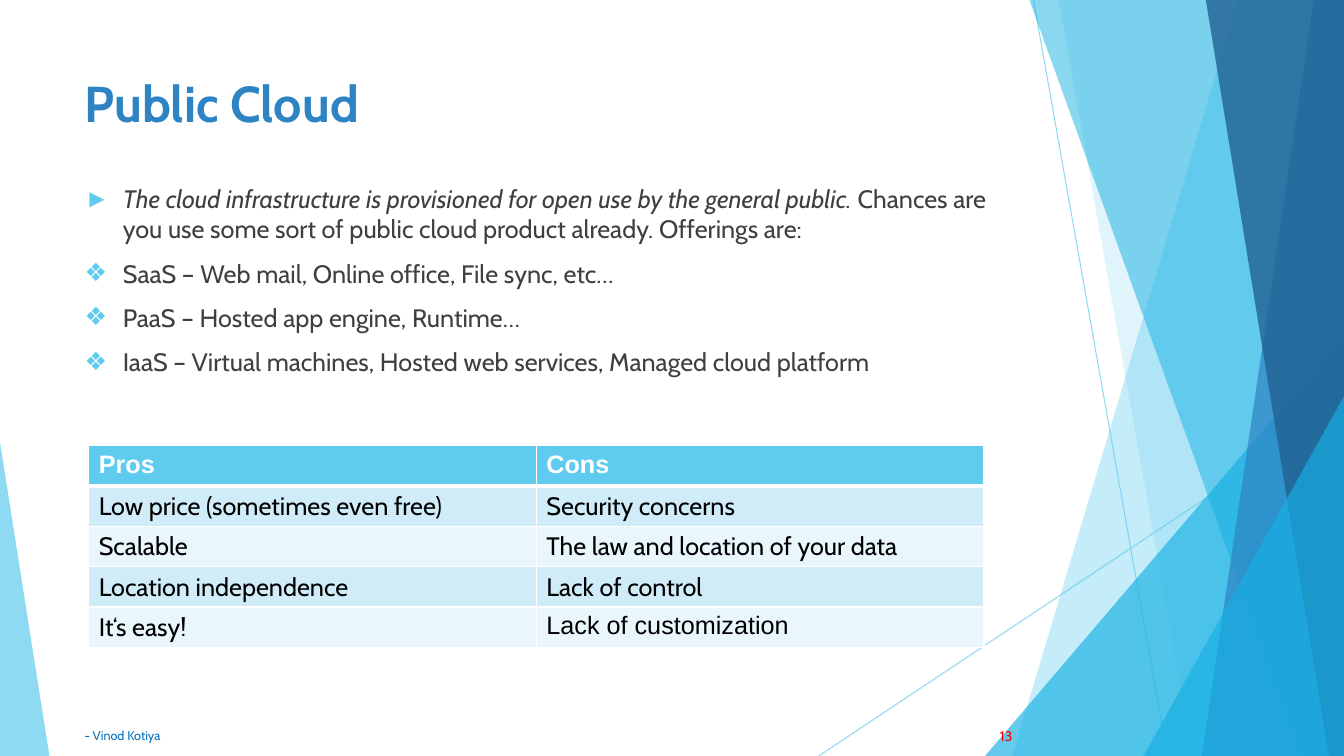
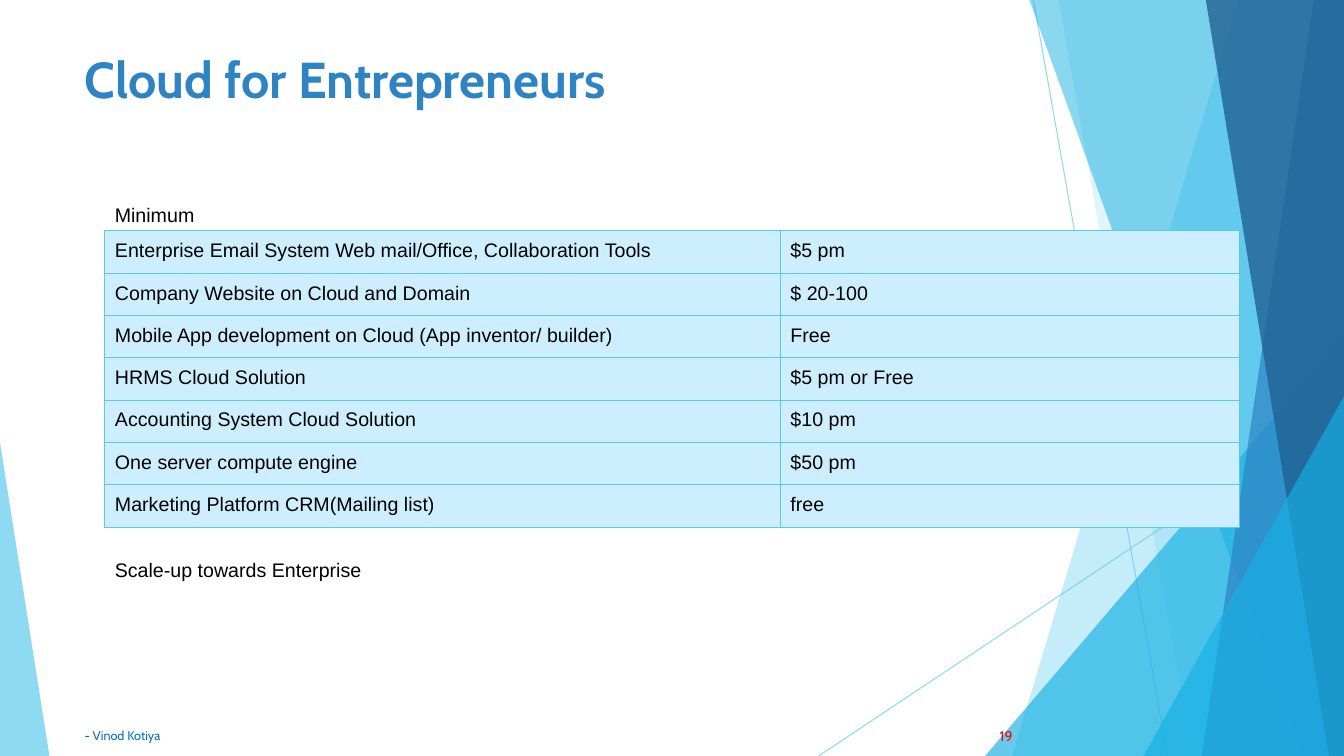
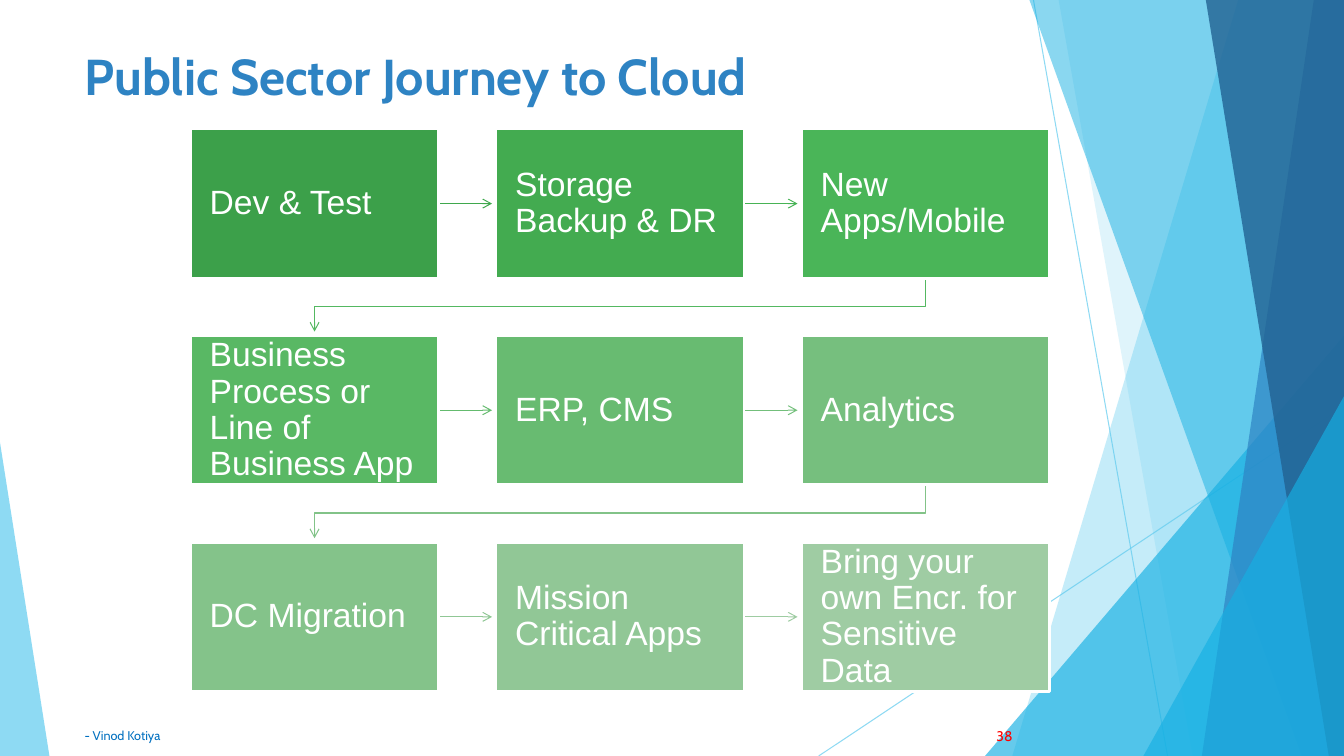
from dataclasses import dataclass
from itertools import product

from lxml.etree import SubElement as Sub
from pptx import Presentation
from pptx.dml.color import RGBColor as Rgb
from pptx.enum.shapes import MSO_CONNECTOR as Link, MSO_SHAPE as Shape
from pptx.enum.text import MSO_ANCHOR as Anchor, PP_ALIGN as Align
from pptx.oxml.ns import qn
from pptx.util import Inches, Pt


@dataclass(frozen=True)
class Theme:
    """Hold the colours, fonts and type sizes of the deck."""
    sky: str = "5FCBEF"
    cyan: str = "16B0E3"
    blue: str = "2E83C3"
    navy: str = "226292"
    white: str = "FFFFFF"
    black: str = "000000"
    grey: str = "3F3F3F"
    foot: str = "0070C0"
    red: str = "FF0000"
    bands: tuple = ("D1ECF9", "E9F6FC")
    pale: str = "CDEEFF"
    edge: str = "59C8ED"
    boxes: tuple = ("3CA04A", "43AB50", "4AB558", "59B864", "68BB71",
                    "76BF7E", "84C38A", "91C796", "9FCCA3")
    links: tuple = ("3FA84D", "47B355", "54B861", "64BB6E", "73BF7B",
                    "82C388", "90C795", "9ECCA2")
    head: str = "Cabin"
    plain: str = "Arial"
    title: int = 36
    step: int = 24
    body: int = 18
    note: int = 14
    page: int = 10
    small: int = 9


T = Theme()


def bullet(para, mark):
    """Give a paragraph a hanging coloured bullet."""
    props = para._p.get_or_add_pPr()
    props.set("marL", str(Inches(0.38)))
    props.set("indent", str(Inches(-0.38)))
    Sub(Sub(props, qn("a:buClr")), qn("a:srgbClr"), val=T.sky)
    Sub(props, qn("a:buFont"), typeface=T.plain)
    Sub(props, qn("a:buChar"), char=mark)


def write(frame, text, size=T.body, font=T.head, color=T.black, bold=False,
          italic=False, align=Align.LEFT, mark=None, before=0, space=None,
          more=False):
    """Write one paragraph, with an optional italic lead given as a pair."""
    para = frame.add_paragraph() if more else frame.paragraphs[0]
    if mark:
        bullet(para, mark)
    para.alignment = align
    if before:
        para.space_before = Pt(before)
    if space:
        para.line_spacing = space
    runs = [(text, italic)] if isinstance(text, str) else zip(text, (True, False))
    for part, slant in runs:
        run = para.add_run()
        run.text = part
        face = run.font
        face.size, face.name, face.bold, face.italic = Pt(size), font, bold, slant
        face.color.rgb = Rgb.from_string(color)


def inset(frame, side, top):
    """Set the margins of a text frame or a cell."""
    frame.margin_left = frame.margin_right = Inches(side)
    frame.margin_top = frame.margin_bottom = Inches(top)


def label(slide, at, text, anchor=Anchor.TOP, **fmt):
    """Add a wrapped text box and return its frame."""
    frame = slide.shapes.add_textbox(*map(Inches, at)).text_frame
    frame.word_wrap = True
    frame.vertical_anchor = anchor
    inset(frame, 0.1, 0.05)
    write(frame, text, **fmt)
    return frame


def fade(shape, alpha):
    """Make the colours of a shape translucent."""
    for color in list(shape._element.iter(qn("a:srgbClr"))):
        Sub(color, qn("a:alpha"), val=str(alpha * 1000))


def paint(shape, color):
    """Fill a shape flat, without line or shadow."""
    shape.shadow.inherit = False
    shape.fill.solid()
    shape.fill.fore_color.rgb = Rgb.from_string(color)
    shape.line.fill.background()


def trace(slide, points, close):
    """Build an outline through points."""
    spots = [tuple(map(Inches, spot)) for spot in points]
    pen = slide.shapes.build_freeform(*spots[0], scale=1.0)
    pen.add_line_segments(spots[1:], close=close)
    return pen.convert_to_shape()


def stroke(shape, color, tip=False):
    """Style a thin line, with an optional arrowhead."""
    shape.line.color.rgb = Rgb.from_string(color)
    shape.line.width = Pt(0.75)
    if tip:
        Sub(shape.line._get_or_add_ln(), qn("a:tailEnd"), type="arrow")


def line(slide, start, end, color, tip=False):
    """Add a straight line."""
    link = slide.shapes.add_connector(
        Link.STRAIGHT, *map(Inches, (*start, *end)))
    stroke(link, color, tip)
    Sub(link._element.spPr, qn("a:effectLst"))
    return link


def shard(slide, top, base, color, alpha, right=13.33):
    """Add a full-height band from its left edge to the slide's right edge."""
    band = trace(slide, [(top, 0), (right, 0), (right, 7.5), (base, 7.5)], True)
    paint(band, color)
    fade(band, alpha)


def wedge(slide, at, peak, color, alpha):
    """Add a translucent right-angled triangle."""
    shape = slide.shapes.add_shape(Shape.ISOSCELES_TRIANGLE, *map(Inches, at))
    shape.adjustments[0] = peak
    paint(shape, color)
    fade(shape, alpha)


def start(deck, title, top, page):
    """Add a slide with backdrop, title and footer."""
    slide = deck.slides.add_slide(deck.slide_layouts[6])
    for head, tail in (((10.25, 0), (11.58, 7.5)), ((13.33, 4.03), (8.12, 7.5))):
        fade(line(slide, head, tail, T.sky), 70)
    shard(slide, 12.28, 10.04, T.sky, 36)
    shard(slide, 10.5, 11.83, T.sky, 20)
    wedge(slide, (9.77, 3.33, 3.56, 4.17), 1, T.cyan, 66)
    shard(slide, 10.21, 12.91, T.cyan, 50)
    shard(slide, 13.03, 11.92, T.blue, 70)
    shard(slide, 11.96, 13.18, T.navy, 80)
    wedge(slide, (11.34, 3.93, 1.99, 3.57), 1, T.cyan, 66)
    wedge(slide, (0, 4.39, 0.49, 3.11), 0, T.sky, 70)
    label(slide, (0.74, top, 9.4, 1.44), title, size=T.title, color=T.blue,
          bold=True)
    label(slide, (0.74, 7.1, 6.89, 0.4), "- Vinod Kotiya", Anchor.MIDDLE,
          size=T.small, color=T.foot)
    label(slide, (9.39, 7.1, 0.75, 0.4), page, Anchor.MIDDLE, size=T.page,
          color=T.red, align=Align.RIGHT)
    return slide


def border(cell, color, widths):
    """Draw the left, right, top and bottom borders of a cell."""
    props = cell._tc.get_or_add_tcPr()
    for side, width in zip("LRTB", widths):
        edge = Sub(props, qn(f"a:ln{side}"), w=str(Pt(width)))
        Sub(Sub(edge, qn("a:solidFill")), qn("a:srgbClr"), val=color)


def grid(slide, spot, cols, tall, rows, style):
    """Add a table whose cells are styled by a function of row and column."""
    size = (sum(cols), tall * len(rows))
    table = slide.shapes.add_table(
        len(rows), len(cols), *map(Inches, (*spot, *size))).table
    for col, wide in zip(table.columns, cols):
        col.width = Inches(wide)
    for row in table.rows:
        row.height = Inches(tall)
    for r, c in product(range(len(rows)), range(len(cols))):
        cell = table.cell(r, c)
        look = style(r, c)
        border(cell, look["edge"], look["widths"])
        cell.fill.solid()
        cell.fill.fore_color.rgb = Rgb.from_string(look["fill"])
        inset(cell, 0.1, look["pad"])
        write(cell.text_frame, rows[r][c], **look["fmt"])


def duel(r, c):
    """Style a cell of the pros and cons table."""
    head = r == 0
    plain = head or (r, c) == (4, 1)
    return dict(
        edge=T.white, pad=0.05, widths=(1, 1, 1, 3 if head else 1),
        fill=T.sky if head else T.bands[(r - 1) % 2],
        fmt=dict(font=T.plain if plain else T.head, bold=head,
                 color=T.white if head else T.black))


def price(r, c):
    """Style a cell of the price table."""
    return dict(edge=T.edge, pad=0.09, widths=(0.75,) * 4, fill=T.pale,
                fmt=dict(size=T.note, font=T.plain))


def public(deck):
    """Build the public cloud slide."""
    slide = start(deck, "Public Cloud", 0.67, "13")
    lead = ("The cloud infrastructure is provisioned for open use by the "
            "general public. ",
            "Chances are you use some sort of public cloud product already. "
            "Offerings are:")
    body = label(slide, (0.74, 1.77, 9.4, 4.84), lead, color=T.grey, mark="►")
    for text in ("SaaS – Web mail, Online office, File sync, etc…",
                 "PaaS – Hosted app engine, Runtime…",
                 "IaaS – Virtual machines, Hosted web services, "
                 "Managed cloud platform"):
        write(body, text, color=T.grey, mark="❖", before=10, more=True)
    rows = (("Pros", "Cons"),
            ("Low price (sometimes even free)", "Security concerns"),
            ("Scalable", "The law and location of your data"),
            ("Location independence", "Lack of control"),
            ("It‘s easy!", "Lack of customization"))
    grid(slide, (0.88, 4.42), (4.44, 4.44), 0.4, rows, duel)


def startup(deck):
    """Build the entrepreneurs slide."""
    slide = start(deck, "Cloud for Entrepreneurs", 0.43, "19")
    rows = (("Enterprise Email System Web mail/Office, Collaboration Tools",
             "$5 pm"),
            ("Company Website on Cloud and Domain", "$ 20-100"),
            ("Mobile App development on Cloud (App inventor/ builder)", "Free"),
            ("HRMS Cloud Solution", "$5 pm or Free"),
            ("Accounting System Cloud Solution", "$10 pm"),
            ("One server compute engine", "$50 pm"),
            ("Marketing Platform CRM(Mailing list)", "free"))
    grid(slide, (1.04, 2.29), (6.7, 4.55), 0.42, rows, price)
    for top, text in ((1.96, "Minimum"), (5.49, "Scale-up towards Enterprise")):
        label(slide, (1.04, top, 3.3, 0.34), text, size=T.note, font=T.plain)


def journey(deck):
    """Build the public sector journey slide."""
    slide = start(deck, "Public Sector Journey to Cloud", 0.4, "38")
    steps = ("Dev & Test", "Storage Backup & DR", "New Apps/Mobile",
             "Business Process or Line of Business App", "ERP, CMS",
             "Analytics", "DC Migration", "Mission Critical Apps",
             "Bring your own Encr. for Sensitive Data")
    left, top, wide, tall, gap = 1.89, 1.28, 2.46, 1.48, 0.53
    spots = [(left + 3.03 * c, top + 2.05 * r)
             for r, c in product(range(3), repeat=2)]
    for (x, y), (nx, ny), color in zip(spots, spots[1:], T.links):
        if y == ny:
            mid = y + tall / 2
            line(slide, (x + wide, mid), (x + wide + gap, mid), color, True)
        else:
            out, into, base = x + wide / 2, nx + wide / 2, y + tall
            bend = base + 0.28
            path = trace(slide, [(out, base), (out, bend), (into, bend),
                                 (into, base + gap)], False)
            path.shadow.inherit = False
            path.fill.background()
            stroke(path, color, True)
    for spot, text, color in zip(spots, steps, T.boxes):
        box = slide.shapes.add_shape(
            Shape.RECTANGLE, *map(Inches, (*spot, wide, tall)))
        paint(box, color)
        box.line.color.rgb = Rgb.from_string(T.white)
        box.line.width = Pt(2)
        frame = box.text_frame
        frame.word_wrap = True
        frame.vertical_anchor = Anchor.MIDDLE
        inset(frame, 0.19, 0.19)
        write(frame, text, size=T.step, font=T.plain, color=T.white, space=0.9)


def main():
    """Build and save the deck."""
    deck = Presentation()
    deck.slide_width, deck.slide_height = Inches(13.33), Inches(7.5)
    public(deck)
    startup(deck)
    journey(deck)
    deck.save("out.pptx")


if __name__ == "__main__":
    main()
